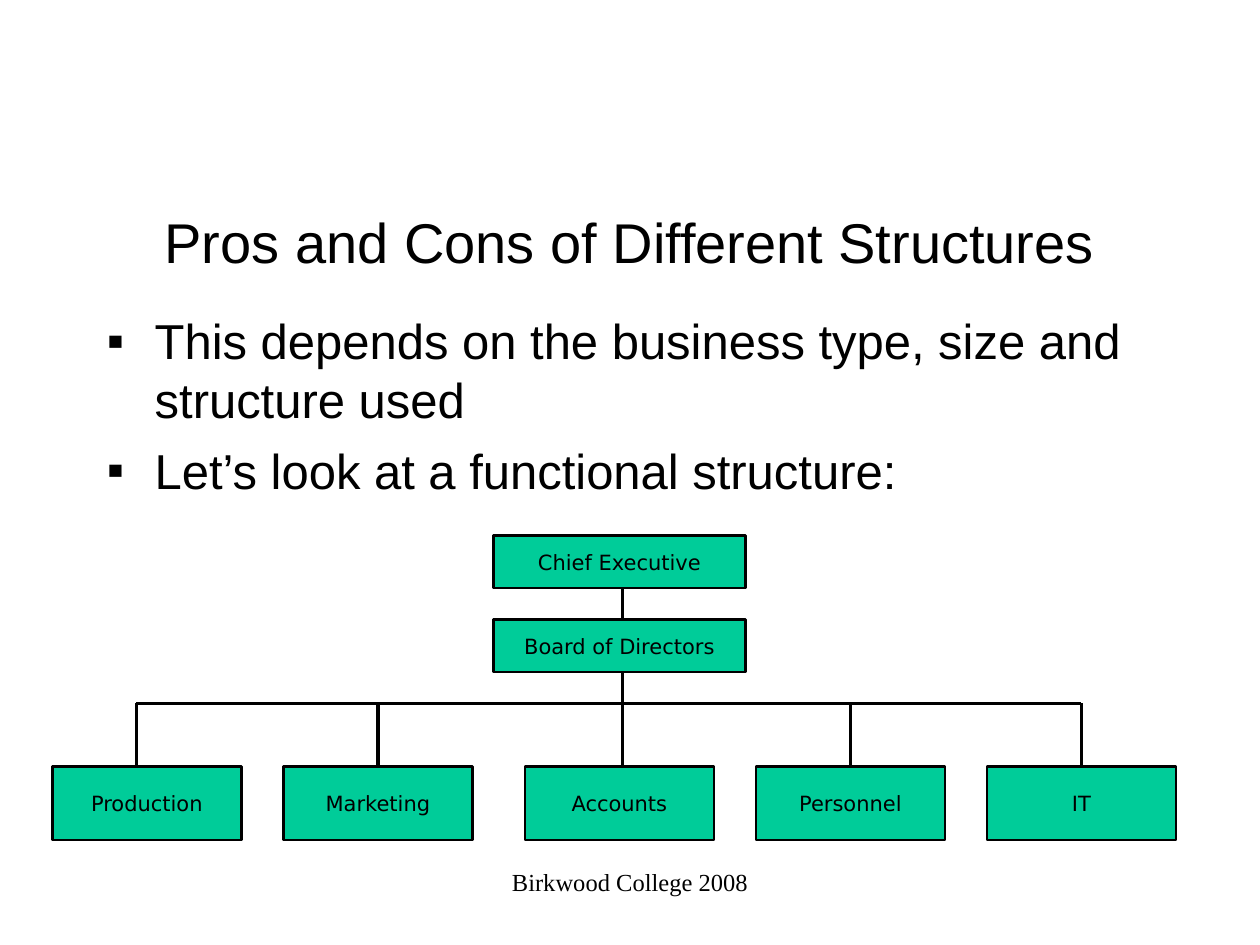
from typing import NamedTuple

from lxml import etree
from pptx import Presentation
from pptx.dml.color import RGBColor
from pptx.enum.shapes import MSO_CONNECTOR, MSO_SHAPE
from pptx.enum.text import MSO_ANCHOR, PP_ALIGN
from pptx.oxml.ns import qn
from pptx.util import Inches, Pt

RECT = MSO_SHAPE.RECTANGLE
LINE = MSO_CONNECTOR.STRAIGHT
MID, TOP = MSO_ANCHOR.MIDDLE, MSO_ANCHOR.TOP
MIDDLE, LEFT = PP_ALIGN.CENTER, PP_ALIGN.LEFT
BLACK, GREEN = "000000", "00CC99"
UNIT = Inches(1) // 12


class Box(NamedTuple):
    text: str
    col: float
    row: float
    wide: float
    high: float


class Wire(NamedTuple):
    col: float
    row: float
    to_col: float
    to_row: float


STAFF = [
    Box("Chief Executive", 47, 51, 24, 5),
    Box("Board of Directors", 47, 59, 24, 5),
]
UNITS = [("Production", 5), ("Marketing", 27), ("Accounts", 50), ("Personnel", 72), ("IT", 94)]
STAFF += [Box(name, col, 73, 18, 7) for name, col in UNITS]

STEM, RAIL, FOOT = 59.3, 67, 73
DROPS = [13, 36, 81, 103]
WIRES = [Wire(col, RAIL, col, FOOT) for col in DROPS]
WIRES += [Wire(STEM, 56, STEM, FOOT), Wire(DROPS[0], RAIL, DROPS[-1], RAIL)]

POINTS = [
    "This depends on the business type, size and structure used",
    "Let\u2019s look at a functional structure:",
]


def grid(*cells: float) -> list[int]:
    return [round(cell * UNIT) for cell in cells]


def paint(part, color: str) -> None:
    part.solid()
    part.fore_color.rgb = RGBColor.from_string(color)


def write(shape, lines: list[str], face: str, size: float, align=MIDDLE, anchor=MID) -> None:
    frame = shape.text_frame
    frame.text = "\n".join(lines)
    frame.word_wrap = True
    frame.vertical_anchor = anchor
    for par in frame.paragraphs:
        par.alignment = align
        par.font.name = face
        par.font.size = Pt(size)
        paint(par.font.fill, BLACK)


def bullet(par) -> None:
    par.space_before = Pt(7)
    props = par._p.get_or_add_pPr()
    props.set("marL", str(Inches(0.38)))
    props.set("indent", str(-Inches(0.38)))
    etree.SubElement(props, qn("a:buFont"), typeface="Arial")
    etree.SubElement(props, qn("a:buChar"), char="\u25aa")


def draw_wire(slide, wire: Wire) -> None:
    line = slide.shapes.add_connector(LINE, *grid(*wire))
    paint(line.line.fill, BLACK)
    line.line.width = Pt(2)
    etree.SubElement(line._element.spPr, qn("a:effectLst"))


def draw_box(slide, box: Box) -> None:
    shape = slide.shapes.add_shape(RECT, *grid(*box[1:]))
    shape.shadow.inherit = False
    paint(shape.fill, GREEN)
    paint(shape.line.fill, BLACK)
    shape.line.width = Pt(1.5)
    write(shape, [box.text], "DejaVu Sans", 12)


deck = Presentation()
deck.slide_width, deck.slide_height = grid(120, 90)
slide = deck.slides.add_slide(deck.slide_layouts[5])

title = slide.shapes.title
title.left, title.top, title.width, title.height = grid(9, 18, 102, 10)
write(title, ["Pros and Cons of Different Structures"], "Arial", 32)

body = slide.shapes.add_textbox(*grid(9, 29, 102, 20))
write(body, POINTS, "Arial", 28, LEFT, TOP)
for par in body.text_frame.paragraphs:
    bullet(par)

for wire in WIRES:
    draw_wire(slide, wire)
for box in STAFF:
    draw_box(slide, box)

foot = slide.shapes.add_textbox(*grid(41, 82, 38, 6))
write(foot, ["Birkwood College 2008"], "Times New Roman", 14, MIDDLE, TOP)

deck.save("out.pptx")
